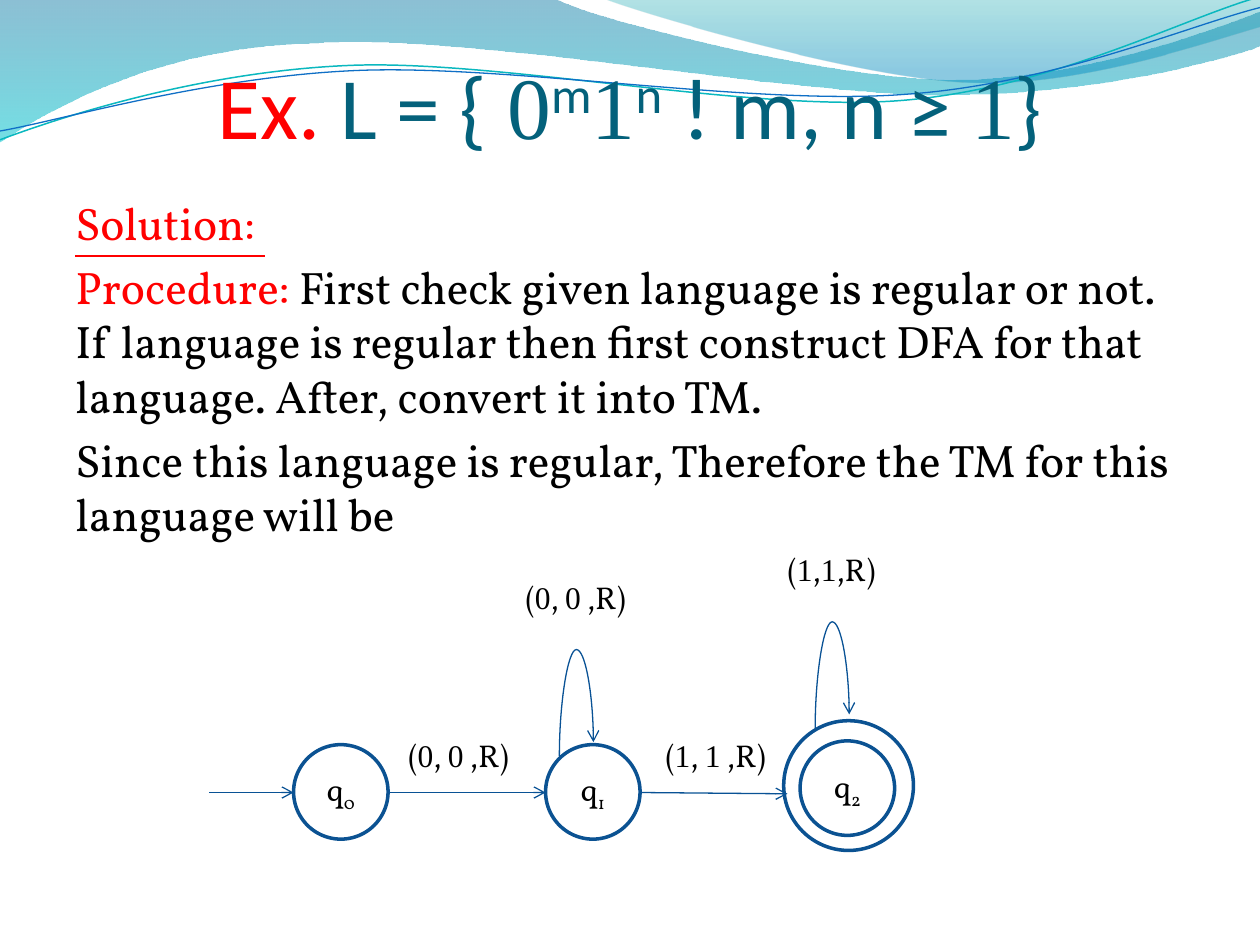
from dataclasses import dataclass
from itertools import groupby
from lxml.etree import SubElement
from pptx import Presentation
from pptx.dml.color import RGBColor
from pptx.enum.shapes import MSO_CONNECTOR, MSO_SHAPE
from pptx.enum.text import MSO_ANCHOR, PP_ALIGN
from pptx.oxml.ns import qn
from pptx.util import Inches, Pt


@dataclass(frozen=True)
class Theme:
    """Colours, fonts and type sizes."""
    red: str = "FF0000"
    teal: str = "04617B"
    ink: str = "000000"
    ring: str = "0B5292"
    edge: str = "095295"
    head: str = "Calibri"
    body: str = "Vollkorn"
    digit: str = "Times New Roman"
    big: int = 50
    mid: int = 26
    small: int = 18


T = Theme()
UPPER = [(0, 0), (4.4, -0.01), (4.76, 0.17, 6.64, 0.63, 7.58, 0.63),
         (8.53, 0.63, 9.58, 0.26, 10, 0.09), (10.01, 0.36),
         (9.83, 0.44, 8.7, 0.76, 7.46, 0.75),
         (6.22, 0.75, 3.82, 0.28, 2.57, 0.34),
         (1.29, 0.36, 0.46, 0.83, -0.01, 1.13)]
LOWER = [(4.79, -0.01), (5.09, 0.11, 6.82, 0.62, 7.69, 0.65),
         (8.56, 0.69, 9.61, 0.32, 10, 0.21), (10, 0)]
CYAN = [(0, 1.11), (0.48, 0.93, 1.58, 0.57, 2.77, 0.52),
        (3.95, 0.47, 5.93, 0.89, 7.13, 0.8),
        (8.33, 0.71, 9.38, 0.15, 9.98, -0.02)]
BLUE = [(0, 1.04), (0.47, 0.96, 1.64, 0.61, 2.83, 0.56),
        (4.03, 0.51, 5.97, 0.84, 7.17, 0.75),
        (8.36, 0.67, 9.41, 0.21, 10, 0.06)]


def rgb(code):
    """Turn a hex code into a colour."""
    return RGBColor.from_string(code)


def write(par, parts, size, font, digit=None):
    """Fill a paragraph from (text, colour, baseline) parts."""
    for text, color, base in parts:
        for num, group in groupby(text, str.isdigit):
            run = par.add_run()
            run.text = "".join(group)
            run.font.size = Pt(size)
            run.font.name = digit if num and digit else font
            run.font.color.rgb = rgb(color)
            if base:
                run.font._element.set("baseline", str(base * 1000))


def curve(slide, steps, closed):
    """Draw an outline of straight and cubic steps."""
    first, *rest = [(Inches(step[i]), Inches(step[i + 1]))
                    for step in steps for i in range(0, len(step), 2)]
    pen = slide.shapes.build_freeform(*first)
    pen.add_line_segments(rest, close=closed)
    shape = pen.convert_to_shape()
    shape.shadow.inherit = False
    lines = iter(list(shape._element.iter(qn("a:lnTo"))))
    for step in steps[1:]:
        line = next(lines)
        if len(step) == 6:
            bend = SubElement(line.getparent(), qn("a:cubicBezTo"))
            line.addprevious(bend)
            for old in (line, next(lines), next(lines)):
                bend.append(old[0])
                old.getparent().remove(old)
    return shape


def band(slide, steps, stops):
    """Draw a band with a see-through gradient."""
    shape = curve(slide, steps, True)
    shape.line.fill.background()
    shape.fill.gradient()
    shape.fill.gradient_angle = 270
    for stop, (place, color, alpha) in zip(shape.fill.gradient_stops, stops):
        stop.color.rgb = rgb(color)
        node = stop._gs
        node.set("pos", str(place * 1000))
        SubElement(node[0], qn("a:alpha")).set("val", str(alpha * 1000))


def waves(slide):
    """Draw the bands and lines along the top."""
    band(slide, UPPER, [(0, "0074A1", 45), (100, "00C6CF", 55)])
    band(slide, LOWER, [(0, "00A1A9", 30), (80, "008BBF", 45)])
    for steps, color, width in ((CYAN, "0AB8BF", 0.85), (BLUE, "0F6FC6", 0.75)):
        shape = curve(slide, steps, False)
        shape.fill.background()
        shape.line.color.rgb = rgb(color)
        shape.line.width = Pt(width)


def heading(slide, x, y, w, h):
    """Place the title."""
    title = slide.shapes.title
    title.left, title.top, title.width, title.height = map(Inches, (x, y, w, h))
    slide.shapes._spTree.append(title._element)
    frame = title.text_frame
    frame.vertical_anchor = MSO_ANCHOR.BOTTOM
    frame.margin_left = frame.margin_right = frame.margin_bottom = 0
    frame.margin_top = Inches(0.05)
    par = frame.paragraphs[0]
    par.alignment = PP_ALIGN.CENTER
    write(par, [("Ex. ", T.red, 0), ("L = { 0", T.teal, 0), ("m", T.teal, 30),
                ("1", T.teal, 0), ("n", T.teal, 30),
                (" ! m, n ≥ 1}", T.teal, 0)], T.big, T.head, T.digit)


def textbox(slide, x, y, w, h):
    """Add a wrapping text frame."""
    frame = slide.shapes.add_textbox(*map(Inches, (x, y, w, h))).text_frame
    frame.word_wrap = True
    return frame


def story(slide, x, y, w, h):
    """Place the solution text."""
    frame = textbox(slide, x, y, w, h)
    rows = [[("Solution: ", T.red, 0)],
            [("Procedure: ", T.red, 0),
             ("First check given language is regular or not. If language is "
              "regular then first construct DFA for that language. After, "
              "convert it into TM.", T.ink, 0)],
            [("Since this language is regular, Therefore the TM for this "
              "language will be ", T.ink, 0)]]
    for i, row in enumerate(rows):
        par = frame.add_paragraph() if i else frame.paragraphs[0]
        par.space_before = Pt(T.mid * 0.2)
        write(par, row, T.mid, T.body)
    frame.paragraphs[0].runs[0].font.underline = True


def ring(slide, x, y, size, index=None):
    """Draw a state circle, named if it has an index."""
    shape = slide.shapes.add_shape(MSO_SHAPE.OVAL,
                                   *map(Inches, (x, y, size, size)))
    shape.shadow.inherit = False
    shape.fill.background()
    shape.line.color.rgb = rgb(T.ring)
    shape.line.width = Pt(2)
    if index is not None:
        shape.text_frame.vertical_anchor = MSO_ANCHOR.MIDDLE
        par = shape.text_frame.paragraphs[0]
        par.alignment = PP_ALIGN.CENTER
        write(par, [("q", T.ink, 0), (index, T.ink, -25)], T.small, T.body)


def arrow(slide, kind, *ends):
    """Draw a connector with an open head."""
    link = slide.shapes.add_connector(kind, *map(Inches, ends))
    link.line.color.rgb = rgb(T.edge)
    link.line.width = Pt(0.75)
    SubElement(link.line._get_or_add_ln(), qn("a:tailEnd")).set("type", "arrow")
    SubElement(link._element.spPr, qn("a:effectLst"))
    return link


def loop(slide, x, y):
    """Draw a self loop that rises from a point."""
    cx, cy, dx, dy = x + 0.135, y - 0.055, 0.055, 0.135
    link = arrow(slide, MSO_CONNECTOR.CURVE, cx + dx, cy + dy, cx - dx, cy - dy)
    props = link._element.spPr
    props.find(qn("a:xfrm")).set("rot", "5400000")
    geom = props.find(qn("a:prstGeom"))
    guides = geom.find(qn("a:avLst"))
    if guides is None:
        guides = SubElement(geom, qn("a:avLst"))
    guide = SubElement(guides, qn("a:gd"))
    guide.set("name", "adj1")
    guide.set("fmla", "val 769000")


def label(slide, x, y, h, text, pad=0.05):
    """Place a transition label above its bottom padding."""
    frame = textbox(slide, x, y, 1.12, h)
    frame.margin_bottom = Inches(pad)
    frame.vertical_anchor = MSO_ANCHOR.MIDDLE
    par = frame.paragraphs[0]
    par.alignment = PP_ALIGN.CENTER
    write(par, [(text, T.ink, 0)], T.small, T.body, T.digit)


def machine(slide, x, y):
    """Draw the state diagram from its top left corner."""
    for dx, dy, size, index in ((0.67, 1.66, 0.75, "0"), (2.67, 1.66, 0.75, "1"),
                                (4.69, 1.63, 0.75, "2"), (4.56, 1.47, 1.03, None)):
        ring(slide, x + dx, y + dy, size, index)
    for start, end, drop in ((0, 0.67, 0), (1.42, 2.67, 0), (3.42, 4.59, 0.01)):
        arrow(slide, MSO_CONNECTOR.STRAIGHT,
              x + start, y + 2.04, x + end, y + 2.04 + drop)
    for dx, dy in ((2.78, 1.75), (4.81, 1.53)):
        loop(slide, x + dx, y + dy)
    for dx, text in ((1.42, "(0, 0 ,R)"), (3.46, "(1, 1 ,R)")):
        label(slide, x + dx, y + 1.45, 0.58, text)
    for dx, dy, text in ((2.35, 0.22, "(0, 0 ,R)"), (4.38, 0, "(1,1,R)")):
        label(slide, x + dx, y + dy, 0.83, text, 0.35)


deck = Presentation()
deck.slide_width, deck.slide_height = Inches(10), Inches(7.5)
page = deck.slides.add_slide(deck.slide_layouts[5])
waves(page)
heading(page, 0.5, 0.25, 9, 1)
story(page, 0.5, 1.5, 9, 5.42)
machine(page, 1.66, 4.25)
deck.save("out.pptx")
